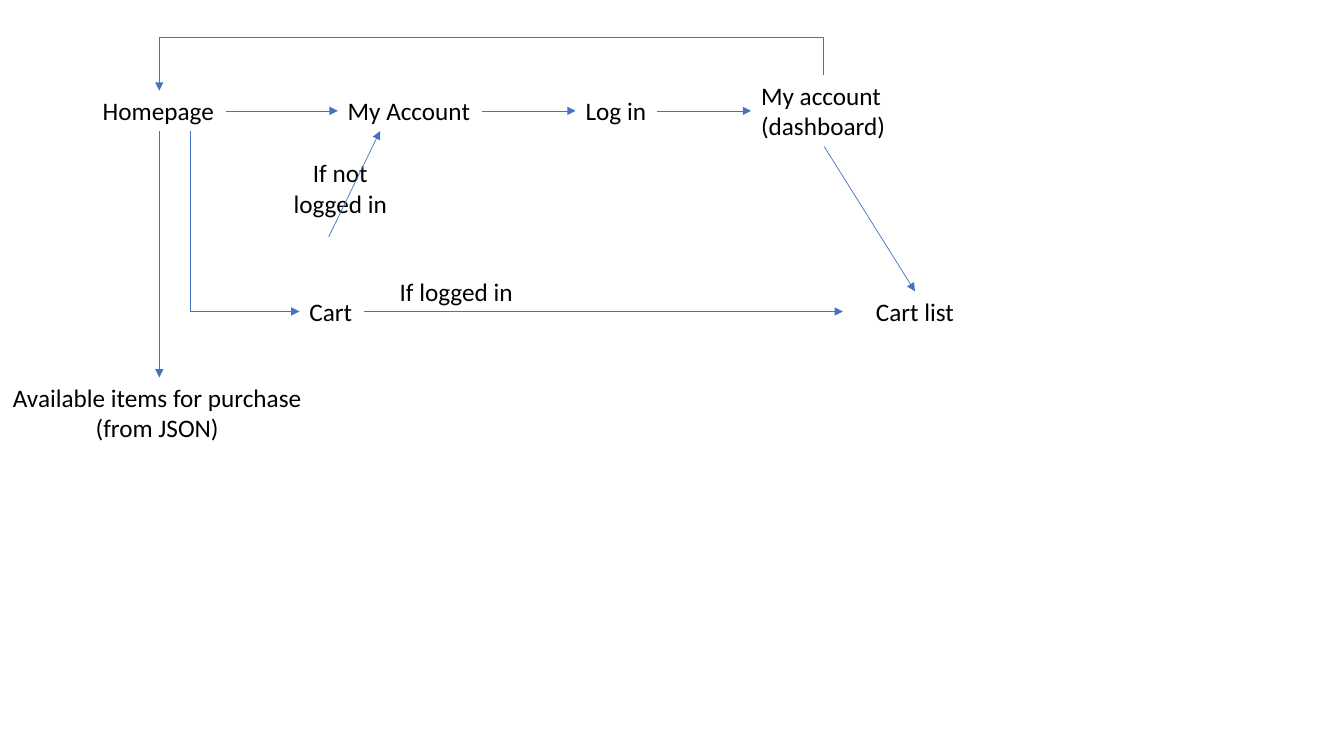
from pptx import Presentation
from pptx.dml.color import RGBColor
from pptx.enum.shapes import MSO_CONNECTOR
from pptx.enum.text import MSO_AUTO_SIZE, PP_ALIGN
from pptx.oxml.ns import qn
from pptx.util import Inches, Pt
from lxml.etree import SubElement

THEME = {
    "font": "Calibri", "size": Pt(18), "line_width": Pt(0.5),
    "text": RGBColor(0x00, 0x00, 0x00), "arrow": RGBColor(0x44, 0x72, 0xC4),
}
LEFT, CENTER = PP_ALIGN.LEFT, PP_ALIGN.CENTER
TOP, BEFORE, BOTTOM, AFTER = range(4)  # connection sites

# Grid: centre lines of the rows, heights of one- and two-line boxes
ACCOUNT_ROW, CART_ROW, ITEMS_ROW = 1.1, 3.09, 4.1
ONE_LINE, TWO_LINES, STEP_WIDTH = 0.4, 0.71, 1.43
HOME_X, HOME_CART_X, DASHBOARD_X = 1.58, 1.89, 8.17
RETURN_Y = 0.37

prs = Presentation()
prs.slide_width, prs.slide_height = Inches(13.33), Inches(7.5)
slide = prs.slides.add_slide(prs.slide_layouts[6])


def add_step(left, middle, width, height, wrap, lines):
    box = slide.shapes.add_textbox(
        Inches(left), Inches(middle - height / 2), Inches(width), Inches(height))
    frame = box.text_frame
    frame.word_wrap = wrap
    frame.auto_size = MSO_AUTO_SIZE.SHAPE_TO_FIT_TEXT
    frame.text = "\n".join(text for text, _ in lines)
    for paragraph, (_, alignment) in zip(frame.paragraphs, lines):
        paragraph.alignment = alignment
        paragraph.font.name = THEME["font"]
        paragraph.font.size = THEME["size"]
        paragraph.font.color.rgb = THEME["text"]
    return box


def add_arrow(kind, start, end):
    arrow = slide.shapes.add_connector(kind, *map(Inches, (*start, *end)))
    arrow.line.color.rgb = THEME["arrow"]
    arrow.line.width = THEME["line_width"]
    properties = arrow._element.spPr
    SubElement(properties.find(qn("a:ln")), qn("a:tailEnd"), type="triangle")
    SubElement(properties, qn("a:effectLst"))
    return arrow


# Pages and branch conditions: left, row, width, height, wrap, lines
steps = {
    "home": (0.92, ACCOUNT_ROW, 1.32, ONE_LINE, False, [("Homepage", LEFT)]),
    "account": (3.35, ACCOUNT_ROW, STEP_WIDTH, ONE_LINE, True, [("My Account", LEFT)]),
    "login": (5.71, ACCOUNT_ROW, 0.81, ONE_LINE, False, [("Log in", LEFT)]),
    "dashboard": (7.45, ACCOUNT_ROW, 1.45, TWO_LINES, False,
                  [("My account", LEFT), ("(dashboard)", CENTER)]),
    "cart": (2.97, CART_ROW, STEP_WIDTH, ONE_LINE, True, [("Cart", LEFT)]),
    "cart list": (8.36, CART_ROW, STEP_WIDTH, ONE_LINE, True, [("Cart list", CENTER)]),
    "items": (0.03, ITEMS_ROW, 3.1, TWO_LINES, False,
              [("Available items for purchase", LEFT), ("(from JSON)", CENTER)]),
    "not logged in": (2.66, 1.87, STEP_WIDTH, TWO_LINES, True,
                      [("If not logged in", CENTER)]),
    "logged in": (3.81, CART_ROW - ONE_LINE / 2, STEP_WIDTH, ONE_LINE, True,
                  [("If logged in", CENTER)]),
}
pages = {name: add_step(*step) for name, step in steps.items()}

# Straight arrows: start, end, and the page sides they join
home_bottom = ACCOUNT_ROW + ONE_LINE / 2
cart_list_top = CART_ROW - ONE_LINE / 2
straight_arrows = [
    ((2.24, ACCOUNT_ROW), (3.35, ACCOUNT_ROW), ("home", AFTER), ("account", BEFORE)),
    ((4.78, ACCOUNT_ROW), (5.71, ACCOUNT_ROW), ("account", AFTER), ("login", BEFORE)),
    ((6.52, ACCOUNT_ROW), (7.45, ACCOUNT_ROW), ("login", AFTER), ("dashboard", BEFORE)),
    ((3.61, CART_ROW), (8.36, CART_ROW), None, ("cart list", BEFORE)),
    ((3.26, 2.35), (3.77, home_bottom), None, None),
    ((DASHBOARD_X, 1.45), (9.08, cart_list_top), ("dashboard", BOTTOM), ("cart list", TOP)),
    ((HOME_X, home_bottom), (HOME_X, 3.75), ("home", BOTTOM), ("items", TOP)),
]
for start, end, source, target in straight_arrows:
    arrow = add_arrow(MSO_CONNECTOR.STRAIGHT, start, end)
    if source:
        arrow.begin_connect(pages[source[0]], source[1])
    if target:
        arrow.end_connect(pages[target[0]], target[1])

# Bent arrows, turned to leave vertically: start, end, preset, flips, bend share
home_top = ACCOUNT_ROW - ONE_LINE / 2
dashboard_top = ACCOUNT_ROW - TWO_LINES / 2
return_bend = (RETURN_Y - dashboard_top) / (home_top - dashboard_top)
bent_arrows = [
    ((HOME_CART_X, home_bottom), (2.97, CART_ROW), "bentConnector2", ["flipH"], None),
    ((DASHBOARD_X, dashboard_top), (HOME_X, home_top), "bentConnector3",
     ["flipH", "flipV"], return_bend),
]
for (x1, y1), (x2, y2), preset, flips, bend in bent_arrows:
    center_x, center_y = (x1 + x2) / 2, (y1 + y2) / 2
    half_width, half_height = abs(y2 - y1) / 2, abs(x2 - x1) / 2
    arrow = add_arrow(MSO_CONNECTOR.ELBOW,
                      (center_x - half_width, center_y - half_height),
                      (center_x + half_width, center_y + half_height))
    transform = arrow._element.spPr.find(qn("a:xfrm"))
    transform.set("rot", str(270 * 60000))
    for flip in flips:
        transform.set(flip, "1")
    geometry = arrow._element.spPr.find(qn("a:prstGeom"))
    geometry.set("prst", preset)
    if bend is not None:
        SubElement(geometry.find(qn("a:avLst")), qn("a:gd"),
                   name="adj1", fmla=f"val {round(bend * 100000)}")

prs.save("out.pptx")
